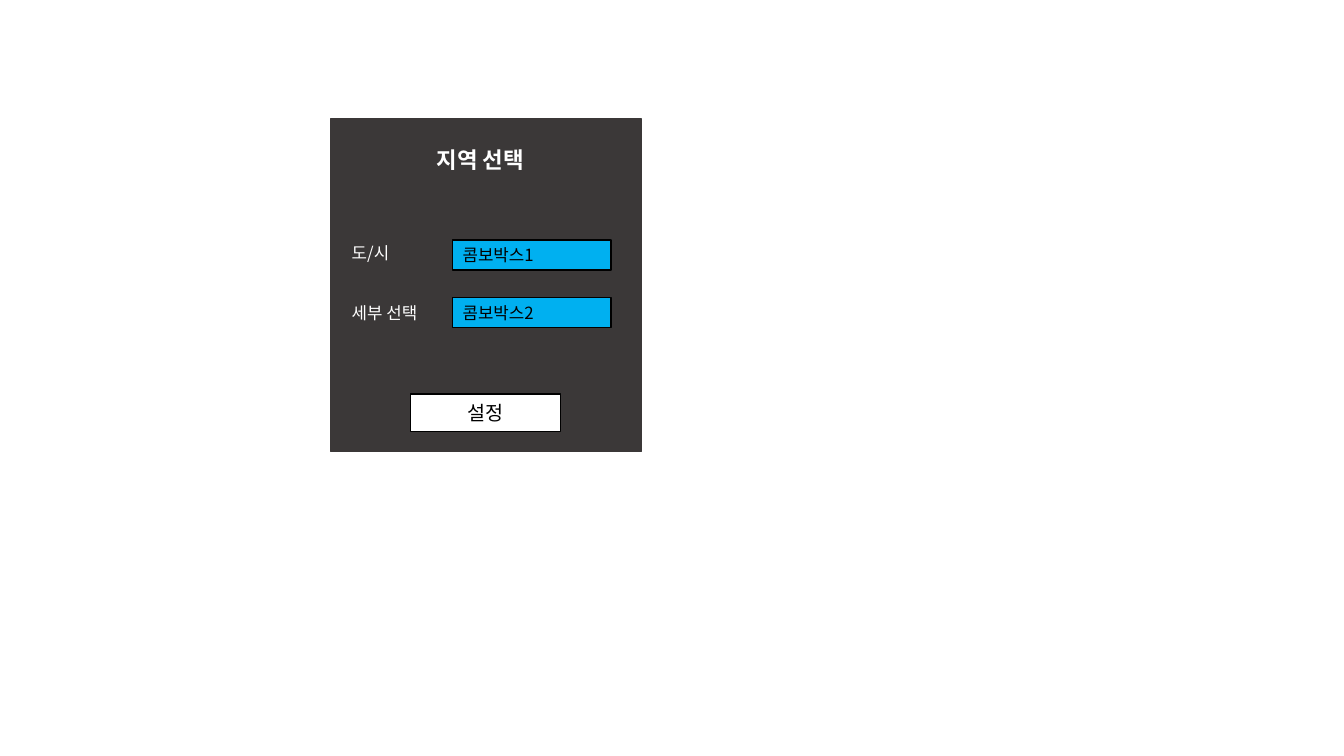
from pptx import Presentation
from pptx.dml.color import RGBColor as Rgb
from pptx.enum.shapes import MSO_SHAPE as Shape
from pptx.enum.text import MSO_ANCHOR as Anchor, MSO_AUTO_SIZE as Fit, PP_ALIGN as Align
from pptx.oxml.ns import qn
from pptx.util import Inches, Pt
from lxml.etree import SubElement

COLORS = {"panel": "3B3838", "white": "FFFFFF", "black": "000000", "combo": "00B0F0"}


class Form:
    """Holds the style and the current slide."""

    font = "Noto Sans CJK KR"

    def __init__(self, slide):
        """Keep the slide to draw on."""
        self.slide = slide

    def color(self, name):
        """Return a named colour."""
        return Rgb.from_string(COLORS[name])

    def text(self, frame, words, size, color, align=Align.LEFT, bold=False):
        """Put one formatted line of text in a frame."""
        para = frame.paragraphs[0]
        para.alignment = align
        run = para.add_run()
        run.text = words
        style = {"name": self.font, "size": Pt(size), "bold": bold}
        for key, value in style.items():
            setattr(run.font, key, value)
        run.font.color.rgb = self.color(color)
        SubElement(run.font._element, qn("a:ea"), typeface=self.font)

    def fit(self, frame):
        """Let a frame grow around unwrapped text at its top."""
        style = {"word_wrap": False, "auto_size": Fit.SHAPE_TO_FIT_TEXT,
                 "vertical_anchor": Anchor.TOP}
        for key, value in style.items():
            setattr(frame, key, value)

    def title(self, words, *box):
        """Move and format the title placeholder."""
        title = self.slide.shapes.title
        for key, value in zip(("left", "top", "width", "height"), box):
            setattr(title, key, Inches(value))
        self.fit(title.text_frame)
        self.text(title.text_frame, words, 16, "white", bold=True)

    def label(self, words, *box):
        """Add a field label."""
        label = self.slide.shapes.add_textbox(*map(Inches, box))
        self.fit(label.text_frame)
        self.text(label.text_frame, words, 12, "white")

    def rect(self, fill, line, *box):
        """Add a flat rectangle and return it."""
        rect = self.slide.shapes.add_shape(Shape.RECTANGLE, *map(Inches, box))
        rect.shadow.inherit = False
        rect.fill.solid()
        rect.fill.fore_color.rgb = self.color(fill)
        rect.line.color.rgb = self.color(line)
        rect.line.width = Pt(1)
        return rect

    def field(self, words, fill, size, align, *box):
        """Add a black-edged rectangle with text."""
        frame = self.rect(fill, "black", *box).text_frame
        frame.vertical_anchor = Anchor.MIDDLE
        self.text(frame, words, size, "black", align)


def main():
    """Build the region dialog."""
    deck = Presentation()
    deck.slide_width, deck.slide_height = Inches(13.33), Inches(7.5)
    form = Form(deck.slides.add_slide(deck.slide_layouts[5]))

    panel = form.rect("panel", "panel", 3.28, 1.18, 3.08, 3.3)
    tree = form.slide.shapes._spTree
    tree.insert(2, panel._element)  # behind the title
    form.title("지역 선택", 4.23, 1.4, 1.18, 0.37)
    form.field("설정", "white", 14, Align.CENTER, 4.07, 3.91, 1.49, 0.37)

    rows = [("도/시", 0.61, 2.36, "콤보박스1", 2.38),
            ("세부 선택", 0.93, 2.95, "콤보박스2", 2.95)]
    for label, width, top, combo, edge in rows:
        form.label(label, 3.39, top, width, 0.3)
        form.field(combo, "combo", 12, Align.LEFT, 4.49, edge, 1.57, 0.3)

    deck.save("out.pptx")


main()
